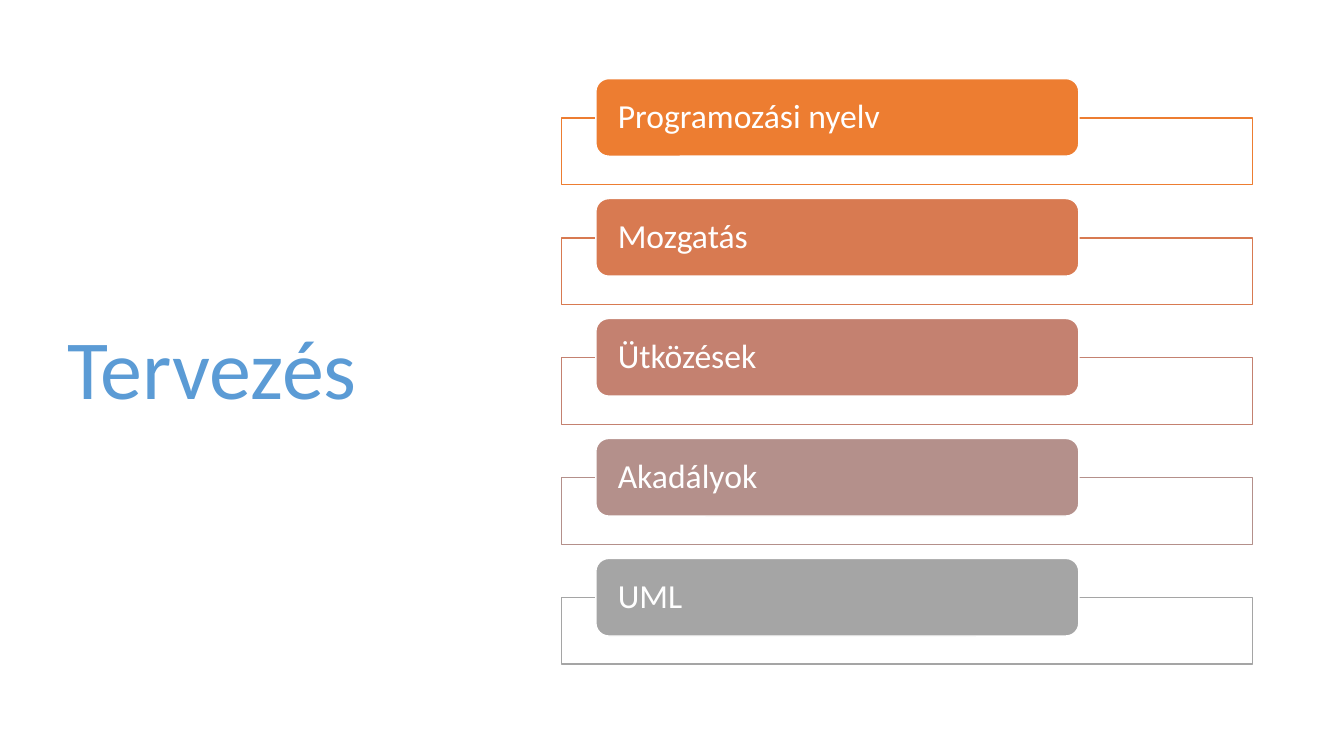
from lxml.etree import SubElement
from pptx import Presentation
from pptx.dml.color import RGBColor
from pptx.enum.shapes import MSO_SHAPE
from pptx.enum.text import MSO_ANCHOR, PP_ALIGN
from pptx.oxml.ns import qn
from pptx.util import Inches, Pt

COLOURS = {
    "white": "FFFFFF",
    "title": "5B9BD5",
    "orange": "ED7D31",
    "copper": "D87A51",
    "rose": "C48170",
    "mauve": "B4908B",
    "grey": "A5A5A5",
}
TOPICS = [
    ("Programozási nyelv", "orange"),
    ("Mozgatás", "copper"),
    ("Ütközések", "rose"),
    ("Akadályok", "mauve"),
    ("UML", "grey"),
]
FIRST_TOP = 0.78
ROW_STEP = 1.19
FRAME_DROP = 0.39


def colour(name):
    """Return the named colour of the palette."""
    return RGBColor.from_string(COLOURS[name])


def write_text(shape, text, size, colour_name, side_inset, end_inset):
    """Write one left-aligned, vertically centred paragraph into a shape."""
    frame = shape.text_frame
    frame.word_wrap = True
    frame.vertical_anchor = MSO_ANCHOR.MIDDLE
    frame.margin_left = frame.margin_right = Inches(side_inset)
    frame.margin_top = frame.margin_bottom = Inches(end_inset)
    paragraph = frame.paragraphs[0]
    paragraph.text = text
    paragraph.alignment = PP_ALIGN.LEFT
    paragraph.line_spacing = 0.9
    paragraph.font.name = "Calibri"
    paragraph.font.size = Pt(size)
    paragraph.font.color.rgb = colour(colour_name)


def add_box(page, preset, left, top, width, height, fill, line):
    """Add a filled preset shape with a thin outline."""
    box = page.shapes.add_shape(
        preset, Inches(left), Inches(top), Inches(width), Inches(height)
    )
    box.shadow.inherit = False
    box.fill.solid()
    box.fill.fore_color.rgb = colour(fill)
    box.line.color.rgb = colour(line)
    box.line.width = Pt(1)
    return box


def set_opacity(box, percent):
    """Make the solid fill of a box partly transparent."""
    fill_colour = box.fill._xPr.find(qn("a:solidFill"))[0]
    SubElement(fill_colour, qn("a:alpha")).set("val", str(percent * 1000))


def add_title(page, text):
    """Add the large slide title on the left."""
    title = page.shapes.add_textbox(
        Inches(0.57), Inches(0.68), Inches(4.16), Inches(6.02)
    )
    write_text(title, text, 60, "title", 0.1, 0.05)


def add_topic(page, text, colour_name, top):
    """Add an outlined frame with a rounded topic label over its upper edge."""
    frame = add_box(page, MSO_SHAPE.RECTANGLE, 5.57, top + FRAME_DROP,
                    6.85, 0.66, "white", colour_name)
    set_opacity(frame, 90)
    label = add_box(page, MSO_SHAPE.ROUNDED_RECTANGLE, 5.91, top,
                    4.79, 0.77, colour_name, "white")
    write_text(label, text, 24, "white", 0.18, 0)


def main():
    """Build the planning slide and save it."""
    deck = Presentation()
    deck.slide_width = Inches(13.33)
    deck.slide_height = Inches(7.5)
    page = deck.slides.add_slide(deck.slide_layouts[6])
    add_title(page, "Tervezés")
    for row, (text, colour_name) in enumerate(TOPICS):
        add_topic(page, text, colour_name, FIRST_TOP + row * ROW_STEP)
    deck.save("out.pptx")


main()
